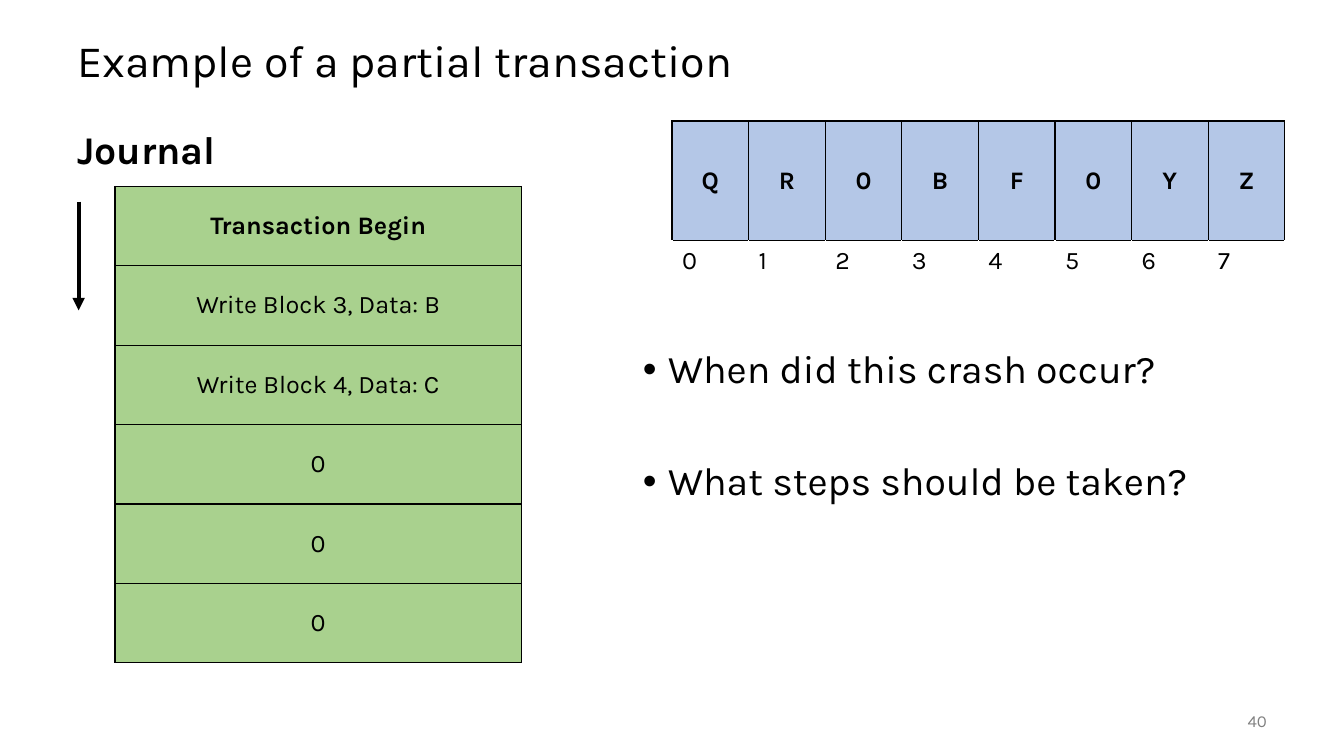
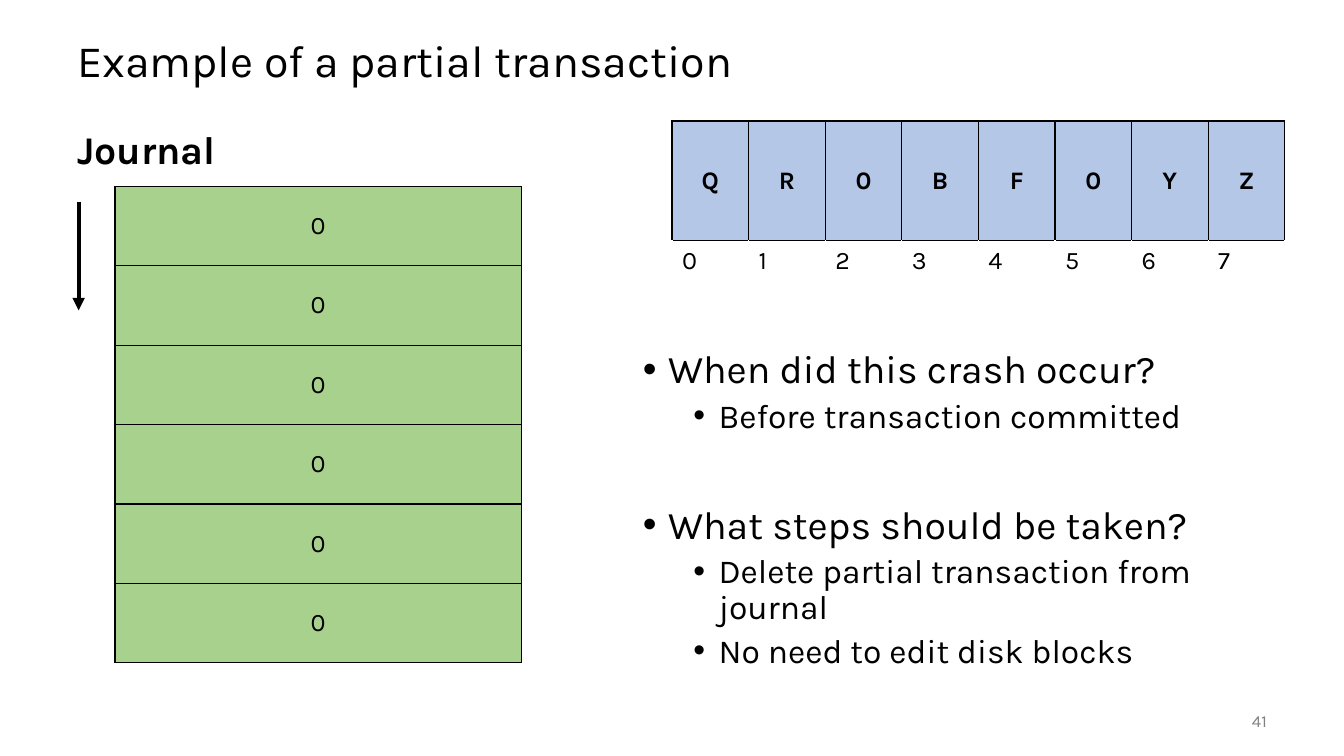
from lxml import etree
from pptx import Presentation
from pptx.dml.color import RGBColor
from pptx.enum.shapes import MSO_CONNECTOR
from pptx.enum.text import MSO_ANCHOR, PP_ALIGN
from pptx.oxml.ns import qn
from pptx.util import Inches, Pt

STRAIGHT = MSO_CONNECTOR.STRAIGHT
TOP, MIDDLE = MSO_ANCHOR.TOP, MSO_ANCHOR.MIDDLE
LEFT, CENTER, RIGHT = PP_ALIGN.LEFT, PP_ALIGN.CENTER, PP_ALIGN.RIGHT

WIDTH, HEIGHT = Inches(13.333), Inches(7.5)
COLUMNS, ROWS = 40, 30
FONT = "Karla"
BLACK, WHITE, GREY = "000000", "FFFFFF", "808080"
BLUE, GREEN = "B4C7E7", "A9D18E"
LEVELS = [
    {"size": 28, "indent": 0.25, "before": 50},
    {"size": 24, "indent": 0.75, "before": 5},
]

TITLE = "Example of a partial transaction"
DISK = list("QR0BF0YZ")
CRASH = (0, "When did this crash occur?")
STEPS = (0, "What steps should be taken?")
SLIDES = [
    {
        "number": 40,
        "journal": ["Transaction Begin", "Write Block 3, Data: B",
                    "Write Block 4, Data: C", "0", "0", "0"],
        "bold_rows": [0],
        "points": [CRASH, STEPS],
    },
    {
        "number": 41,
        "journal": ["0"] * 6,
        "bold_rows": [],
        "points": [
            CRASH,
            (1, "Before transaction committed"),
            STEPS,
            (1, "Delete partial transaction from journal"),
            (1, "No need to edit disk blocks"),
        ],
    },
]


def colour(value):
    """Turn a hex string into a colour."""
    return RGBColor.from_string(value)


def across(columns):
    """Turn grid columns into a length."""
    return round(WIDTH * columns / COLUMNS)


def down(rows):
    """Turn grid rows into a length."""
    return round(HEIGHT * rows / ROWS)


class Sketch:
    """Hold the deck style and draw on the current slide."""

    def __init__(self):
        """Start an empty deck."""
        self.deck = Presentation()
        self.deck.slide_width, self.deck.slide_height = WIDTH, HEIGHT
        self.slide = None

    def new_slide(self, number):
        """Add a slide with its title and number."""
        self.slide = self.deck.slides.add_slide(self.deck.slide_layouts[6])
        self.text(TITLE, 2, 1, 36, 3, size=32, anchor=MIDDLE, spacing=0.9)
        self.text(str(number), 35, 27.8, 3, 1.6, size=12, ink=GREY,
                  align=RIGHT, anchor=MIDDLE)

    def style(self, paragraph, size, ink=BLACK, bold=False, align=LEFT):
        """Apply the deck's type style to a paragraph."""
        paragraph.alignment = align
        for span in paragraph.runs:
            span.font.name, span.font.size = FONT, Pt(size)
            span.font.bold = bold
            span.font.color.rgb = colour(ink)

    def box(self, x, y, width, height, anchor=TOP):
        """Add a wrapping text box and return its frame."""
        box = self.slide.shapes.add_textbox(
            across(x), down(y), across(width), down(height))
        frame = box.text_frame
        frame.word_wrap, frame.vertical_anchor = True, anchor
        return frame

    def text(self, words, x, y, width, height, anchor=TOP, spacing=1.0, **look):
        """Add a single paragraph of text."""
        para = self.box(x, y, width, height, anchor).paragraphs[0]
        para.text, para.line_spacing = words, spacing
        self.style(para, **look)

    def bullets(self, points, x, y, width, height):
        """Add a bulleted list of (level, words) points."""
        frame = self.box(x, y, width, height)
        for index, (level, words) in enumerate(points):
            rule = LEVELS[level]
            para = frame.paragraphs[0] if index == 0 else frame.add_paragraph()
            para.text, para.level, para.line_spacing = words, level, 0.9
            if index:
                para.space_before = Pt(rule["before"])
            properties = para._p.get_or_add_pPr()
            properties.set("marL", str(Inches(rule["indent"])))
            properties.set("indent", str(Inches(-0.25)))
            etree.SubElement(properties, qn("a:buFont"), typeface="Arial")
            etree.SubElement(properties, qn("a:buChar"), char="•")
            self.style(para, rule["size"])

    def table(self, x, y, width, heights):
        """Add an unstyled table, given its column widths and row heights."""
        rows, columns = len(heights), len(width)
        frame = self.slide.shapes.add_table(
            rows, columns, across(x), down(y),
            across(sum(width)), down(sum(heights)))
        table = frame.table
        table.first_row = table.horz_banding = False
        for column, share in zip(table.columns, width):
            column.width = across(share)
        for row, share in zip(table.rows, heights):
            row.height = down(share)
        return table

    def cell(self, cell, words, fill=None, side=BLACK, anchor=MIDDLE, **look):
        """Fill, border and write one table cell."""
        properties = cell._tc.get_or_add_tcPr()
        edges = {"lnL": side, "lnR": side, "lnT": BLACK, "lnB": side}
        for edge, ink in edges.items():
            line = etree.SubElement(properties, qn("a:" + edge), w=str(Pt(1)))
            solid = etree.SubElement(line, qn("a:solidFill"))
            etree.SubElement(solid, qn("a:srgbClr"), val=ink)
        if fill:
            cell.fill.solid()
            cell.fill.fore_color.rgb = colour(fill)
        else:
            cell.fill.background()
        cell.vertical_anchor = anchor
        cell.text = words
        self.style(cell.text_frame.paragraphs[0], 18, **look)

    def disk(self, blocks, x, y):
        """Draw the disk blocks above their indices."""
        table = self.table(x, y, [2.28] * len(blocks), [4.76, 2.12])
        for index, block in enumerate(blocks):
            self.cell(table.cell(0, index), block, BLUE, bold=True, align=CENTER)
            self.cell(table.cell(1, index), str(index), side=WHITE, anchor=TOP)

    def journal(self, entries, bold_rows, x, y):
        """Draw the journal as a stack of entries."""
        table = self.table(x, y, [12.1], [3.15] * len(entries))
        for index, entry in enumerate(entries):
            self.cell(table.cell(index, 0), entry, GREEN,
                      bold=index in bold_rows, align=CENTER)

    def arrow(self, x, start, end):
        """Draw a downward arrow."""
        line = self.slide.shapes.add_connector(
            STRAIGHT, across(x), down(start), across(x), down(end))
        line.line.color.rgb = colour(BLACK)
        line.line.width = Pt(3)
        etree.SubElement(line.line._get_or_add_ln(), qn("a:tailEnd"),
                         type="triangle")
        etree.SubElement(line._element.spPr, qn("a:effectLst"))


def main():
    """Build the deck."""
    sketch = Sketch()
    for content in SLIDES:
        sketch.new_slide(content["number"])
        sketch.text("Journal", 2, 5, 17.25, 2.4, size=28, bold=True, spacing=0.9)
        sketch.bullets(content["points"], 18.84, 13.68, 19.16, 13.32)
        sketch.disk(DISK, 20, 4.8)
        sketch.journal(content["journal"], content["bold_rows"], 3.42, 7.4)
        sketch.arrow(2.34, 8, 12.32)
    sketch.deck.save("out.pptx")


if __name__ == "__main__":
    main()
